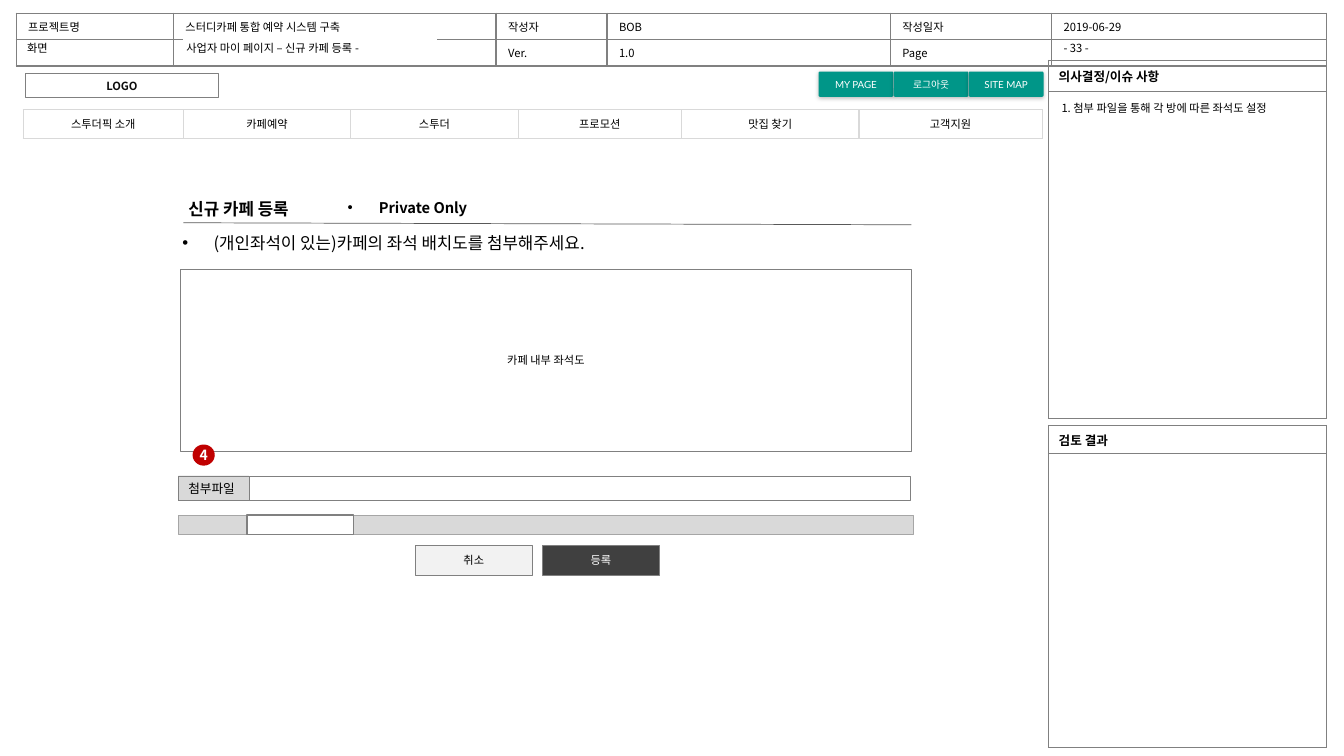
from dataclasses import dataclass
from lxml.etree import SubElement as Sub, Element
from pptx import Presentation
from pptx.dml.color import RGBColor as Rgb
from pptx.enum.shapes import MSO_CONNECTOR as Link, MSO_SHAPE as Form
from pptx.enum.text import MSO_ANCHOR as Anchor, PP_ALIGN as Align
from pptx.oxml.ns import qn
from pptx.util import Inches, Pt

# Grid: ten columns and ten rows to the inch
WIDE, HIGH = Inches(13.33), Inches(7.5)
COLS, ROWS = 133.3, 75
FONT = "Noto Sans CJK KR"
HUES = {
    "black": "000000", "ink": "0D0D0D", "white": "FFFFFF", "dark": "404040",
    "rule": "595959", "edge": "808080", "mid": "A6A6A6", "pale": "D9D9D9",
    "mist": "F2F2F2", "red": "C00000", "teal": "009688",
}
PAD = (1, 0.5)
CELL = (1.2, 0.5)
Spot = tuple[float, float, float, float]


@dataclass
class Text:
    words: str
    size: float = 8
    bold: bool = False
    hue: str = "black"
    font: str = FONT
    align: Align = Align.LEFT
    anchor: Anchor = Anchor.TOP
    pad: tuple[float, float] = PAD
    dot: bool = False


@dataclass
class Box:
    spot: Spot
    fill: str = ""
    line: str = ""
    width: float = 0.25
    form: Form = Form.RECTANGLE
    text: Text | None = None
    shade: bool = False


@dataclass
class Grid:
    left: float
    top: float
    cols: list[float]
    rows: list[float]
    cells: list[list[Text | None]]
    line: str = "edge"


def col(n: float) -> int:
    return round(WIDE * n / COLS)


def row(n: float) -> int:
    return round(HIGH * n / ROWS)


def tint(name: str) -> Rgb:
    return Rgb.from_string(HUES[name])


def write(para, text: Text) -> None:
    props = para._p.get_or_add_pPr()
    if text.dot:
        props.set("marL", str(col(3.1)))
        props.set("indent", str(-col(3.1)))
        Sub(props, qn("a:buFont"), typeface="Arial")
        Sub(props, qn("a:buChar"), char="•")
    para.alignment = text.align
    run = para.add_run()
    run.text = text.words
    font = run.font
    font.size, font.bold, font.name = Pt(text.size), text.bold, text.font
    font.color.rgb = tint(text.hue)
    Sub(run._r.get_or_add_rPr(), qn("a:ea"), typeface=FONT)


def inset(host, pad: tuple[float, float]) -> None:
    host.margin_left = host.margin_right = col(pad[0])
    host.margin_top = host.margin_bottom = row(pad[1])


def cast(shape) -> None:
    props = shape._element.spPr
    glow = Sub(props.find(qn("a:effectLst")), qn("a:outerShdw"), blurRad=str(Pt(3)),
               dist=str(Pt(1)), dir="5400000", rotWithShape="0")
    Sub(Sub(glow, qn("a:srgbClr"), val=HUES["black"]), qn("a:alpha"), val="25000")


def draw(slide, box: Box) -> None:
    left, top, wide, high = box.spot
    place = col(left), row(top), col(wide), row(high)
    if box.fill or box.line:
        shape = slide.shapes.add_shape(box.form, *place)
        shape.shadow.inherit = False
        if box.fill:
            shape.fill.solid()
            shape.fill.fore_color.rgb = tint(box.fill)
        else:
            shape.fill.background()
        if box.line:
            shape.line.color.rgb = tint(box.line)
            shape.line.width = Pt(box.width)
        else:
            shape.line.fill.background()
        if box.form == Form.ROUNDED_RECTANGLE:
            shape.adjustments[0] = 0.05
        if box.shade:
            cast(shape)
    else:
        shape = slide.shapes.add_textbox(*place)
    if box.text:
        frame = shape.text_frame
        frame.word_wrap = True
        frame.vertical_anchor = box.text.anchor
        inset(frame, box.text.pad)
        write(frame.paragraphs[0], box.text)


def edge(cell, hue: str) -> None:
    props = cell._tc.get_or_add_tcPr()
    for spot, side in enumerate(("lnL", "lnR", "lnT", "lnB")):
        line = Element(qn(f"a:{side}"), w=str(Pt(1)))
        Sub(Sub(line, qn("a:solidFill")), qn("a:srgbClr"), val=HUES[hue])
        props.insert(spot, line)


def plot(slide, grid: Grid) -> None:
    table = slide.shapes.add_table(
        len(grid.rows), len(grid.cols), col(grid.left), row(grid.top),
        col(sum(grid.cols)), row(sum(grid.rows))).table
    table.first_row = table.horz_banding = False
    for part, wide in zip(table.columns, grid.cols):
        part.width = col(wide)
    for part, high, texts in zip(table.rows, grid.rows, grid.cells):
        part.height = row(high)
        for cell, text in zip(part.cells, texts):
            cell.fill.background()
            edge(cell, grid.line)
            para = cell.text_frame.paragraphs[0]
            if text:
                inset(cell, text.pad)
                cell.vertical_anchor = text.anchor
                write(para, text)
            else:
                Sub(para._p, qn("a:endParaRPr"), sz="800")


def mid(words: str, size: float = 8, **more) -> Text:
    return Text(words, size, align=Align.CENTER, anchor=Anchor.MIDDLE, **more)


def head(words: str) -> Text:
    return Text(words, 9, True, anchor=Anchor.MIDDLE)


def fact(words: str) -> Text | None:
    return Text(words, pad=CELL) if words else None


# Tables: page facts, side notes and menu
FACTS = [["프로젝트명", "스터디카페 통합 예약 시스템 구축", "작성자", "BOB", "작성일자", "2019-06-29"],
         ["", "", "Ver.", "1.0", "Page", ""]]
MENU = ["스투더픽 소개", "카페예약", "스투더", "프로모션", "맛집 찾기", "고객지원"]
GRIDS = [
    Grid(1.6, 1.3, [15.6, 32, 11, 28.1, 16, 27.3], [2.4, 2.4],
         [[fact(words) for words in line] for line in FACTS]),
    Grid(104, 6, [27.6], [3.1, 32.4], [[head("의사결정/이슈 사항")], [None]]),
    Grid(104, 42.2, [27.6], [2.8, 29.1], [[head("검토 결과")], [None]]),
    Grid(2.3, 10.9, [15.9, 16.6, 16.6, 16.2, 17.6, 18.2], [2.8],
         [[mid(words, pad=CELL) for words in MENU]], "pale"),
]

BOXES = [
    # Top strip
    Box((18.2, 3.8, 25.1, 1.9), "white", "white", 1),
    Box((17.5, 3.8, 26.2, 2), text=Text("사업자 마이 페이지 – 신규 카페 등록 -", anchor=Anchor.MIDDLE)),
    Box((1.7, 3.6, 6, 2.4), text=Text("화면")),
    Box((104.5, 3.6, 10.7, 2.4), text=Text("- 33 -")),
    Box((2.5, 7.3, 19.2, 2.4), line="edge", width=0.75,
        text=mid("LOGO", bold=True, hue="ink")),
    Box((104.3, 9.6, 25.1, 13.4), text=Text("1. 첨부 파일을 통해 각 방에 따른 좌석도 설정")),
    # Form titles
    Box((17.7, 19.2, 15.1, 3), text=Text("신규 카페 등록", 12, True)),
    Box((33.5, 19.2, 21.4, 2.8), text=Text("Private Only", 10.5, True, dot=True)),
    Box((17.1, 22.6, 67.6, 3),
        text=Text("(개인좌석이 있는)카페의 좌석 배치도를 첨부해주세요.", 12, dot=True)),
    # Seat plan and file field
    Box((17.9, 26.7, 72.5, 18.1), "white", "edge", text=mid("카페 내부 좌석도")),
    Box((17.7, 47.2, 72.6, 2.4), "white", "edge"),
    Box((17.7, 47.2, 7, 2.4), "pale", "edge"),
    Box((17.7, 47.2, 9.7, 2.5), text=Text("첨부파일", 9)),
    Box((17.7, 51.1, 72.9, 1.9), "pale", "mid", 0.5),
    Box((24.5, 51.1, 10.6, 1.9), "white", "edge", 1),
    Box((19.1, 44.1, 2.2, 2.1), "red", form=Form.OVAL,
        text=mid("4", 10, bold=True, hue="white", pad=(0, 0))),
]
# Form buttons, then site buttons
KEYS = [("취소", "mist", "black"), ("등록", "dark", "white")]
BOXES += [Box((41.2 + 12.6 * n, 54.1, 11.6, 3), fill, "edge", text=mid(words, hue=hue))
          for n, (words, fill, hue) in enumerate(KEYS)]
BOXES += [Box((81.2 + 7.45 * n, 7.1, 7.4, 2.5), "teal", form=Form.ROUNDED_RECTANGLE, shade=True,
              text=mid(words, 7, hue="white", font="Lato", pad=(0.8, 0.5)))
          for n, words in enumerate(["MY PAGE", "로그아웃", "SITE MAP"])]


def main() -> None:
    deck = Presentation()
    deck.slide_width, deck.slide_height = WIDE, HIGH
    slide = deck.slides.add_slide(deck.slide_layouts[6])
    for grid in GRIDS:
        plot(slide, grid)
    for box in BOXES:
        draw(slide, box)
    # Rule under the form title
    rule = slide.shapes.add_connector(
        Link.STRAIGHT, col(18.2), row(22.1), col(90.4), row(22.3))
    rule.line.color.rgb = tint("rule")
    rule.line.width = Pt(0.5)
    Sub(rule._element.spPr, qn("a:effectLst"))
    deck.save("out.pptx")


if __name__ == "__main__":
    main()
